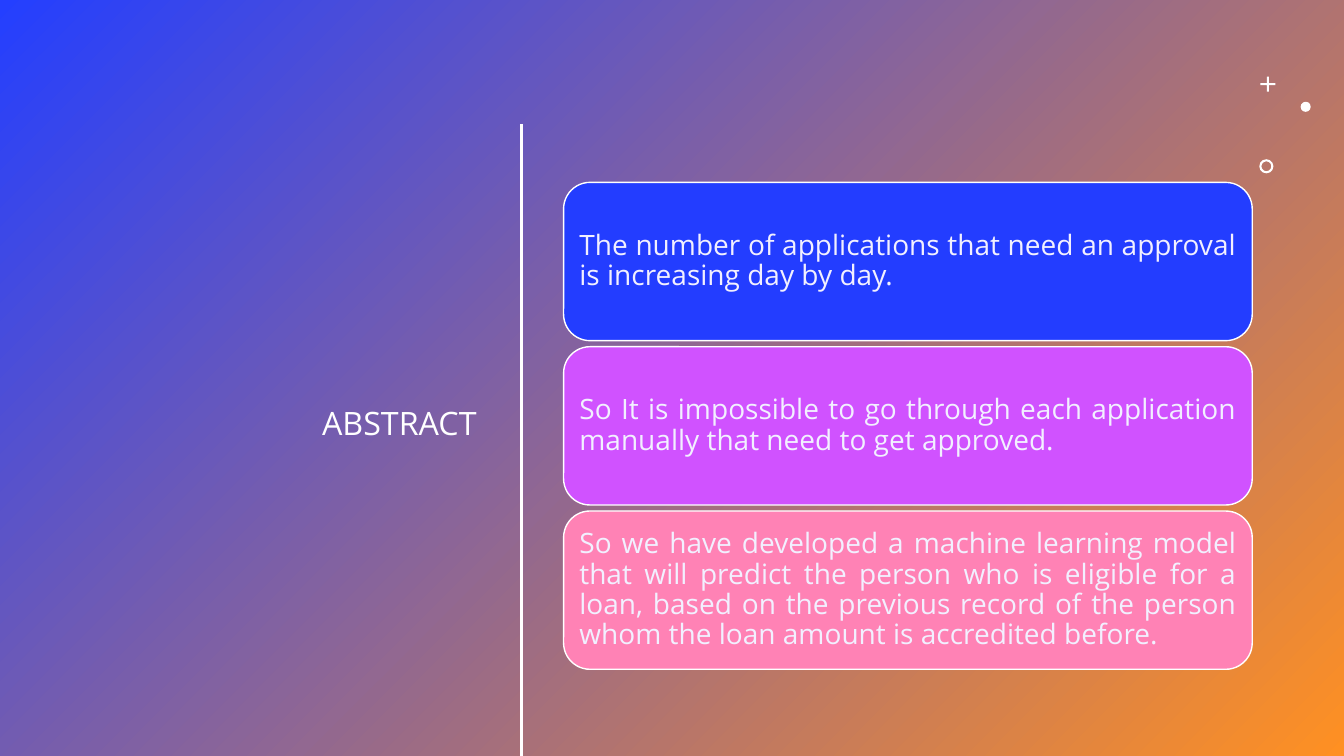
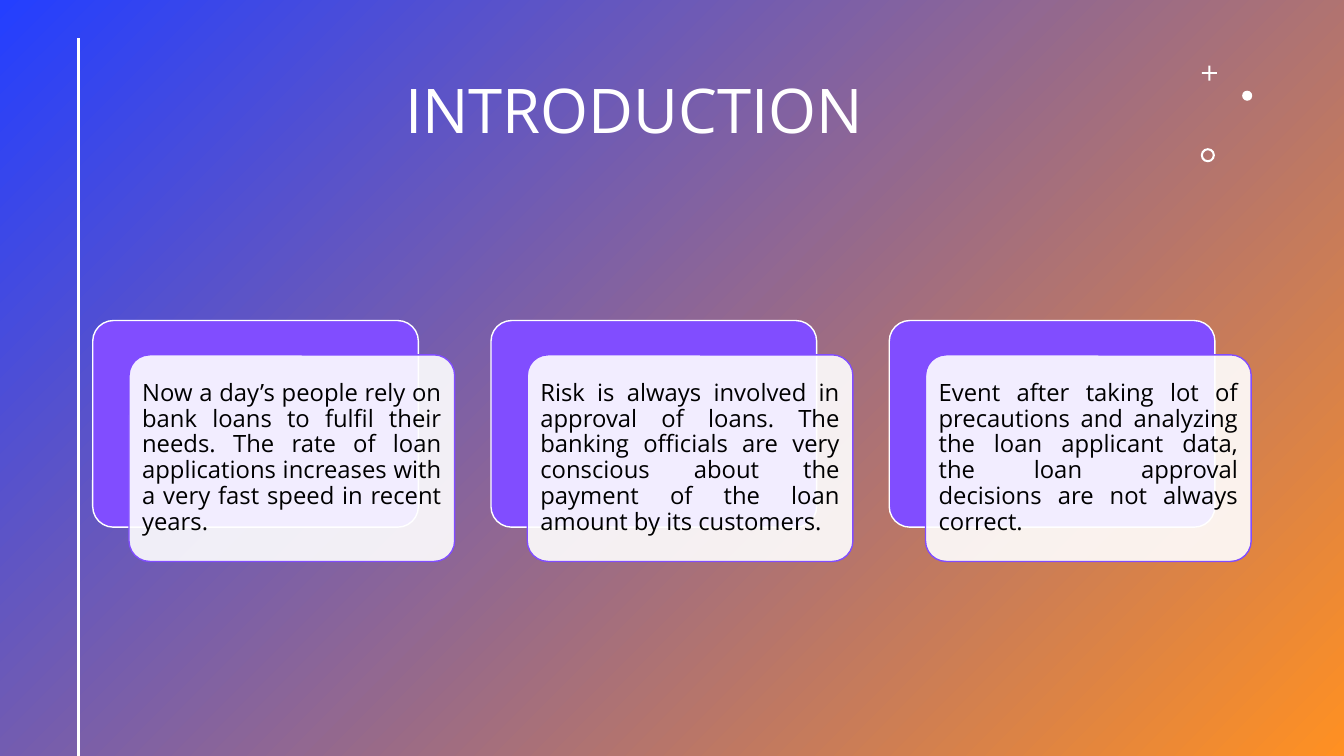
from dataclasses import dataclass

from lxml.etree import SubElement
from pptx import Presentation
from pptx.dml.color import RGBColor
from pptx.enum.shapes import MSO_CONNECTOR, MSO_SHAPE
from pptx.enum.text import MSO_ANCHOR, MSO_AUTO_SIZE, PP_ALIGN
from pptx.oxml.ns import qn
from pptx.util import Inches, Pt


@dataclass(frozen=True)
class Theme:
    font: str = "Open Sans"
    white: str = "FFFFFF"
    black: str = "000000"
    pale: str = "F2F0FF"
    violet: str = "814DFF"
    gradient: tuple = ("243FFF", "FF9022")
    panels: tuple = ("233DFF", "D052FF", "FF82B5")
    side_title: int = 23
    top_title: int = 44
    panel_text: int = 20
    card_text: int = 17


THEME = Theme()
SLIDE_W, SLIDE_H = 13.33, 7.5

ABSTRACT = (
    "The number of applications that need an approval is increasing day by day.",
    "So It is impossible to go through each application manually that need to get approved.",
    "So we have developed a machine learning model that will predict the person who is "
    "eligible for a loan, based on the previous record of the person whom the loan amount "
    "is accredited before.",
)
INTRODUCTION = (
    "Now a day’s people rely on bank loans to fulfil their needs. The rate of loan "
    "applications increases with a very fast speed in recent years.",
    "Risk is always involved in approval of loans. The banking officials are very conscious "
    "about the payment of the loan amount by its customers.",
    "Event after taking lot of precautions and analyzing the loan applicant data, the loan "
    "approval decisions are not always correct.",
)


def rgb(color):
    return RGBColor.from_string(color)


def write(tf, text, size, color, align):
    tf.word_wrap = True
    tf.auto_size = MSO_AUTO_SIZE.NONE
    tf.vertical_anchor = MSO_ANCHOR.MIDDLE
    p = tf.paragraphs[0]
    p.text = text
    p.alignment = align
    p.line_spacing = 0.9
    p.font.name = THEME.font
    p.font.size = Pt(size)
    p.font.color.rgb = rgb(color)


def add_title(s, text, box, size, align, indent=0.1):
    title = s.shapes.title
    title.left, title.top, title.width, title.height = map(Inches, box)
    tf = title.text_frame
    tf.margin_left = Inches(indent)
    write(tf, text, size, THEME.white, align)


def add_shape(s, kind, box, fill, line=None, adj=None):
    sp = s.shapes.add_shape(kind, *map(Inches, box))
    sp.shadow.inherit = False
    sp.fill.solid()
    sp.fill.fore_color.rgb = rgb(fill)
    if line:
        sp.line.color.rgb = rgb(line)
        sp.line.width = Pt(1)
    else:
        sp.line.fill.background()
    if adj is not None:
        sp.adjustments[0] = adj
    return sp


def add_backdrop(s):
    sp = add_shape(s, MSO_SHAPE.RECTANGLE, (0, 0, SLIDE_W, SLIDE_H), THEME.gradient[0])
    sp.fill.gradient()
    sp.fill.gradient_angle = 315
    for stop, color in zip(sp.fill.gradient_stops, THEME.gradient):
        stop.color.rgb = rgb(color)
    s.shapes.title._element.addprevious(sp._element)


def add_body(sp, text, size, color, inset):
    tf = sp.text_frame
    tf.margin_left = tf.margin_right = tf.margin_top = tf.margin_bottom = Inches(inset)
    write(tf, text, size, color, PP_ALIGN.JUSTIFY)


def add_rule(s, x, top):
    rule = s.shapes.add_connector(
        MSO_CONNECTOR.STRAIGHT, Inches(x), Inches(top), Inches(x), Inches(SLIDE_H))
    rule.line.color.rgb = rgb(THEME.white)
    rule.line.width = Pt(2)
    SubElement(rule._element.spPr, qn("a:effectLst"))


def add_marks(s, x, y):
    add_shape(s, MSO_SHAPE.CROSS, (x, y, 0.15, 0.15), THEME.white, adj=0.44)
    add_shape(s, MSO_SHAPE.OVAL, (x + 0.4, y + 0.25, 0.1, 0.1), THEME.white)
    add_shape(s, MSO_SHAPE.DONUT, (x - 0.01, y + 0.82, 0.14, 0.14), THEME.white, adj=0.15)


def add_panels(s, texts, box, gap=0.06):
    x, y, w, h = box
    panel_h = (h - gap * (len(texts) - 1)) / len(texts)
    for i, (text, color) in enumerate(zip(texts, THEME.panels)):
        panel = add_shape(s, MSO_SHAPE.ROUNDED_RECTANGLE,
                          (x, y + i * (panel_h + gap), w, panel_h),
                          color, THEME.white, 0.167)
        add_body(panel, text, THEME.panel_text, THEME.pale, 0.08)


def add_cards(s, texts, box, gap=0.36, shift=(0.36, 0.34)):
    x, y, w, h = box
    dx, dy = shift
    step = (w + gap) / len(texts)
    card_w, card_h = step - gap - dx, h - dy
    for i, text in enumerate(texts):
        left = x + i * step
        add_shape(s, MSO_SHAPE.ROUNDED_RECTANGLE, (left, y, card_w, card_h),
                  THEME.violet, THEME.white, 0.1)
        card = add_shape(s, MSO_SHAPE.ROUNDED_RECTANGLE,
                         (left + dx, y + dy, card_w, card_h),
                         THEME.white, THEME.violet, 0.1)
        color = card._element.spPr.find(qn("a:solidFill"))[0]
        SubElement(color, qn("a:alpha"), val="90000")
        add_body(card, text, THEME.card_text, THEME.black, 0.07)


def add_slide(prs):
    s = prs.slides.add_slide(prs.slide_layouts[5])
    add_backdrop(s)
    return s


def abstract_slide(prs):
    s = add_slide(prs)
    add_title(s, "ABSTRACT", (0.52, 1.16, 4.31, 6.11), THEME.side_title, PP_ALIGN.RIGHT)
    add_rule(s, 5.17, 1.23)
    add_marks(s, 12.5, 0.76)
    add_panels(s, ABSTRACT, (5.59, 1.81, 6.83, 4.83))


def introduction_slide(prs):
    s = add_slide(prs)
    add_title(s, "INTRODUCTION", (0.92, 0.4, 10.72, 1.45), THEME.top_title,
              PP_ALIGN.LEFT, indent=3.1)
    add_rule(s, 0.78, 0.38)
    add_marks(s, 11.92, 0.65)
    add_cards(s, INTRODUCTION, (0.92, 3.18, 11.49, 2.39))


def main():
    prs = Presentation()
    prs.slide_width, prs.slide_height = Inches(SLIDE_W), Inches(SLIDE_H)
    abstract_slide(prs)
    introduction_slide(prs)
    prs.save("out.pptx")


if __name__ == "__main__":
    main()
